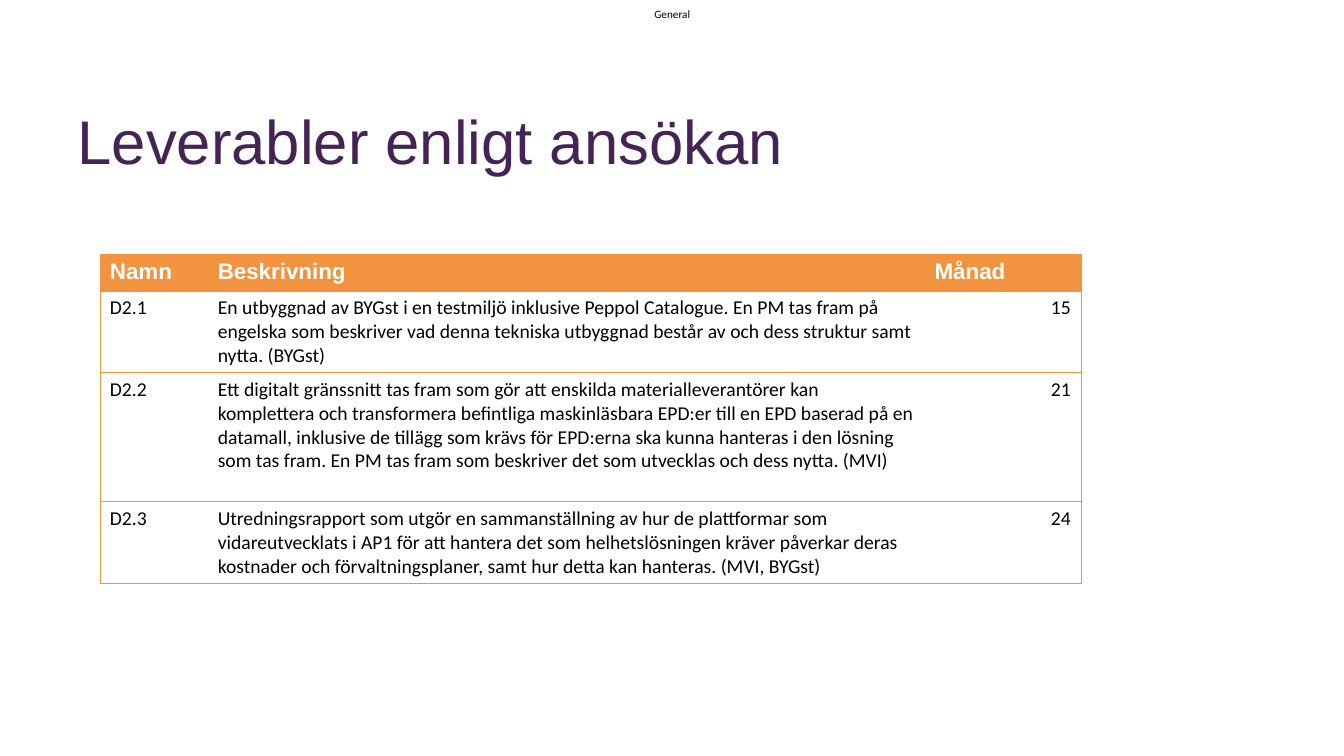
from lxml import etree
from pptx import Presentation
from pptx.dml.color import RGBColor
from pptx.enum import text
from pptx.oxml import ns
from pptx.util import Inches, Pt

PURPLE = RGBColor(0x45, 0x24, 0x55)
ORANGE = RGBColor(0xF2, 0x93, 0x3F)
WHITE = RGBColor(0xFF, 0xFF, 0xFF)
BLACK = RGBColor(0, 0, 0)

COLUMN_WIDTHS = (1.07, 7.11, 1.55)
ROW_HEIGHTS = (0.36, 0.81, 1.28, 0.81)
DELIVERABLES = (
    ("Namn", "Beskrivning", "Månad"),
    ("D2.1", "En utbyggnad av BYGst i en testmiljö inklusive Peppol Catalogue. "
     "En PM tas fram på engelska som beskriver vad denna tekniska utbyggnad "
     "består av och dess struktur samt nytta. (BYGst)", "15"),
    ("D2.2", "Ett digitalt gränssnitt tas fram som gör att enskilda "
     "materialleverantörer kan komplettera och transformera befintliga "
     "maskinläsbara EPD:er till en EPD baserad på en datamall, inklusive de "
     "tillägg som krävs för EPD:erna ska kunna hanteras i den lösning som tas "
     "fram. En PM tas fram som beskriver det som utvecklas och dess nytta. (MVI)", "21"),
    ("D2.3", "Utredningsrapport som utgör en sammanställning av hur de "
     "plattformar som vidareutvecklats i AP1 för att hantera det som "
     "helhetslösningen kräver påverkar deras kostnader och förvaltningsplaner, "
     "samt hur detta kan hanteras. (MVI, BYGst)", "24"),
)


def style(paragraph, name, size, color, bold=False):
    for span in paragraph.runs:
        span.font.name = name
        span.font.size = Pt(size)
        span.font.color.rgb = color
        span.font.bold = bold


def place(shape, left, top, width, height):
    shape.left, shape.top = Inches(left), Inches(top)
    shape.width, shape.height = Inches(width), Inches(height)


def add_label(page, left, top, width, height):
    box = page.shapes.add_textbox(*map(Inches, (left, top, width, height)))
    frame = box.text_frame
    frame.margin_left = frame.margin_right = frame.margin_top = frame.margin_bottom = 0
    frame.text = "General"
    style(frame.paragraphs[0], "Calibri", 8, BLACK)


def add_title(page, left, top, width, height):
    title = page.shapes.title
    place(title, left, top, width, height)
    frame = title.text_frame
    frame.text = "Leverabler enligt ansökan"
    frame.vertical_anchor = text.MSO_ANCHOR.BOTTOM
    frame.word_wrap = True
    para = frame.paragraphs[0]
    para.alignment = text.PP_ALIGN.LEFT
    para.line_spacing = 0.9
    style(para, "Arial", 44, PURPLE)


def set_borders(cell, visible_sides):
    properties = cell._tc.get_or_add_tcPr()
    for position, side in enumerate(("lnL", "lnR", "lnT", "lnB")):
        line = etree.Element(ns.qn(f"a:{side}"), w=str(Pt(0.5)))
        if side in visible_sides:
            fill = etree.SubElement(line, ns.qn("a:solidFill"))
            etree.SubElement(fill, ns.qn("a:srgbClr"), val=str(ORANGE))
        else:
            etree.SubElement(line, ns.qn("a:noFill"))
        properties.insert(position, line)


def add_deliverables(page, left, top):
    size = (sum(COLUMN_WIDTHS), sum(ROW_HEIGHTS))
    frame = page.shapes.add_table(len(DELIVERABLES), len(COLUMN_WIDTHS),
                                  *map(Inches, (left, top, *size)))
    table = frame.table
    last_column = len(COLUMN_WIDTHS) - 1
    for column, width in zip(table.columns, COLUMN_WIDTHS):
        column.width = Inches(width)
    for row, height in zip(table.rows, ROW_HEIGHTS):
        row.height = Inches(height)
    for row_index, values in enumerate(DELIVERABLES):
        header = row_index == 0
        for column_index, value in enumerate(values):
            cell = table.cell(row_index, column_index)
            cell.text = value
            cell.fill.solid()
            cell.fill.fore_color.rgb = ORANGE if header else WHITE
            para = cell.text_frame.paragraphs[0]
            if header:
                style(para, "Arial", 16, WHITE, True)
            else:
                style(para, "Calibri", 14, BLACK)
                if column_index == last_column:
                    para.alignment = text.PP_ALIGN.RIGHT
            sides = {"lnT", "lnB"}
            if column_index == 0:
                sides.add("lnL")
            if column_index == last_column:
                sides.add("lnR")
            set_borders(cell, sides)


def main():
    deck = Presentation()
    deck.slide_width, deck.slide_height = Inches(13.33), Inches(7.5)
    page = deck.slides.add_slide(deck.slide_layouts[5])
    add_label(page, 6.49, 0.07, 0.38, 0.13)
    add_title(page, 0.67, 0.29, 9.11, 1.52)
    add_deliverables(page, 0.99, 2.52)
    deck.save("out.pptx")


if __name__ == "__main__":
    main()
